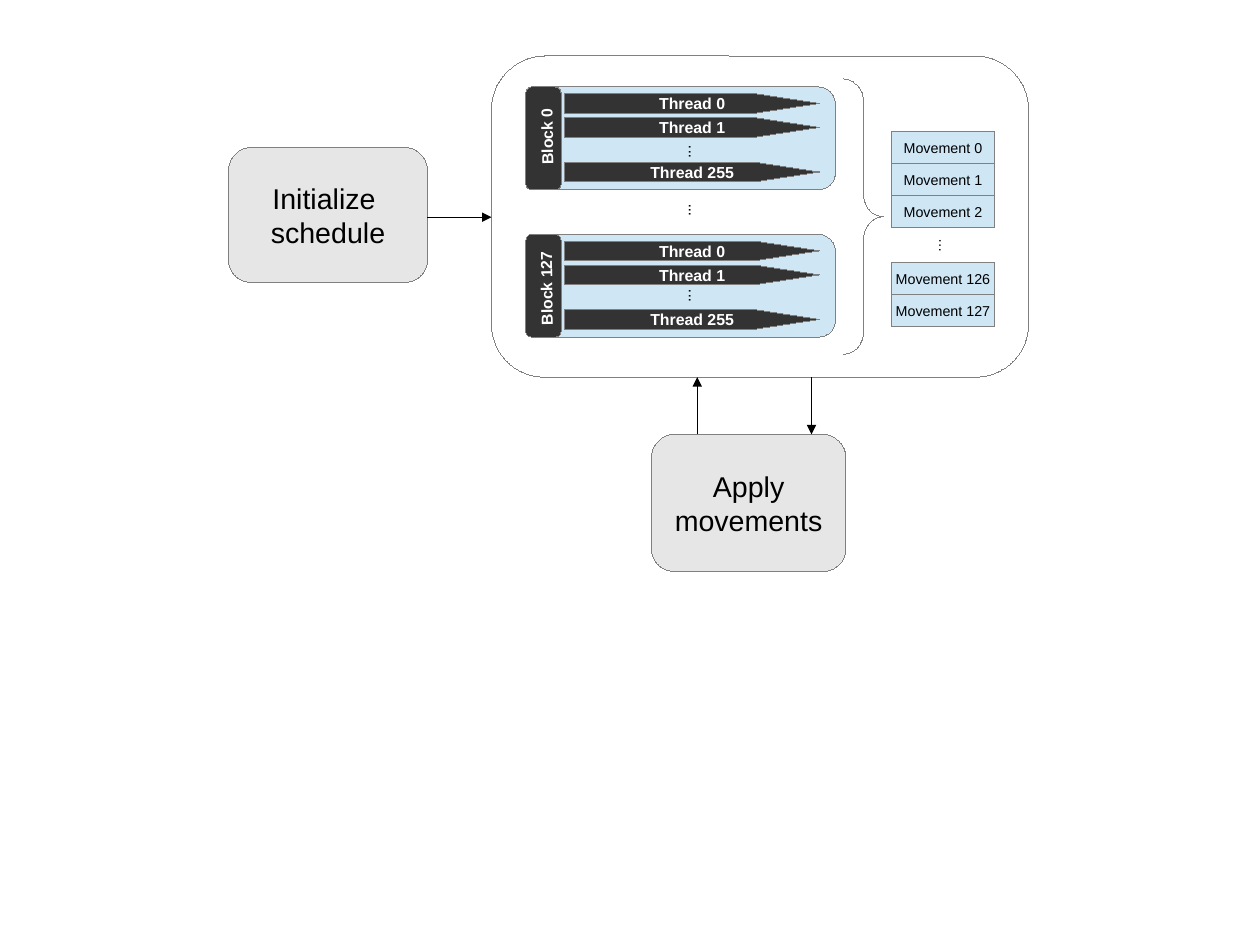
from dataclasses import dataclass

from lxml.etree import SubElement
from pptx import Presentation
from pptx.dml.color import RGBColor
from pptx.enum.shapes import MSO_CONNECTOR, MSO_SHAPE
from pptx.enum.text import MSO_ANCHOR, MSO_AUTO_SIZE, PP_ALIGN
from pptx.oxml.ns import qn
from pptx.shapes.autoshape import Shape
from pptx.shapes.connector import Connector
from pptx.slide import Slide
from pptx.util import Cm, Inches, Pt

COLORS = {
    "panel": "CFE7F5",
    "dark": "333333",
    "step": "E6E6E6",
    "outline": "808080",
    "ink": "000000",
    "light": "FFFFFF",
}
HAIRLINE = Pt(0.01)
BLOCK_LEFT, BLOCK_W, BLOCK_H, STRIP_W = 4.6, 2.71, 0.9, 0.31
THREAD_LEFT, THREAD_W, THREAD_H, TIP_W = 4.94, 2.23, 0.17, 0.56
THREADS = {"Thread 0": 0.06, "Thread 1": 0.27, "Thread 255": 0.66}
CELL_LEFT, CELL_W, CELL_H = 7.8, 0.9, 0.28


@dataclass(frozen=True)
class Box:
    left: float
    top: float
    width: float
    height: float


@dataclass(frozen=True)
class Block:
    name: str
    top: float
    label: Box
    dots_top: float


@dataclass(frozen=True)
class Step:
    box: Box
    lines: tuple[str, ...]
    fill: str | None


@dataclass(frozen=True)
class Arrow:
    x1: float
    y1: float
    x2: float
    y2: float


@dataclass(frozen=True)
class MovementGroup:
    top: float
    numbers: tuple[int, ...]


BLOCKS = (
    Block("Block 0", 0.76, Box(4.43, 1.07, 0.69, 0.25), 1.2),
    Block("Block 127", 2.05, Box(4.34, 2.39, 0.86, 0.25), 2.46),
)
STEPS = (
    Step(Box(4.3, 0.49, 4.7, 2.81), (), None),
    Step(Box(2, 1.29, 1.74, 1.18), ("Initialize ", "schedule"), "step"),
    Step(Box(5.7, 3.8, 1.7, 1.2), ("Apply", "movements"), "step"),
)
ARROWS = (
    Arrow(3.74, 1.9, 4.3, 1.9),
    Arrow(7.1, 3.3, 7.1, 3.8),
    Arrow(6.1, 3.8, 6.1, 3.3),
)
MOVEMENTS = (MovementGroup(1.15, (0, 1, 2)), MovementGroup(2.3, (126, 127)))


def rgb(name: str) -> RGBColor:
    """Look up a palette colour."""
    return RGBColor.from_string(COLORS[name])


def style(sp: Shape, fill: str | None) -> None:
    """Give a shape its fill and grey hairline."""
    sp.shadow.inherit = False
    if fill:
        sp.fill.solid()
        sp.fill.fore_color.rgb = rgb(fill)
    else:
        sp.fill.background()
    sp.line.color.rgb = rgb("outline")
    sp.line.width = HAIRLINE


def write(sp: Shape, lines: tuple[str, ...], size: float, color: str = "ink",
          bold: bool = False, align: PP_ALIGN = PP_ALIGN.CENTER) -> None:
    """Write unwrapped paragraphs into a shape."""
    tf = sp.text_frame
    tf.word_wrap = False
    tf.text = "\n".join(lines)
    for p in tf.paragraphs:
        p.alignment = align
        p.font.name = "Arial"
        p.font.size = Pt(size)
        p.font.bold = bold
        p.font.color.rgb = rgb(color)


def add_shape(s: Slide, kind: MSO_SHAPE, box: Box, fill: str | None = None,
              adjust: float | None = None) -> Shape:
    """Add a styled preset shape."""
    sp = s.shapes.add_shape(kind, Inches(box.left), Inches(box.top),
                            Inches(box.width), Inches(box.height))
    style(sp, fill)
    if adjust is not None:
        sp.adjustments[0] = adjust
    sp.text_frame.vertical_anchor = MSO_ANCHOR.MIDDLE
    return sp


def add_label(s: Slide, box: Box, text: str, size: float, rotation: float,
              color: str = "ink", bold: bool = False,
              align: PP_ALIGN = PP_ALIGN.LEFT) -> None:
    """Add a rotated line of text."""
    sp = s.shapes.add_textbox(Inches(box.left), Inches(box.top),
                              Inches(box.width), Inches(box.height))
    sp.rotation = rotation
    write(sp, (text,), size, color, bold, align)
    sp.text_frame.auto_size = MSO_AUTO_SIZE.SHAPE_TO_FIT_TEXT


def add_thread_dots(s: Slide, top: float) -> None:
    """Add a vertical ellipsis in the thread column."""
    add_label(s, Box(5.78, top, 0.41, 0.26), "...", 10, 270, align=PP_ALIGN.CENTER)


def add_thread(s: Slide, name: str, top: float) -> None:
    """Add a long pointed thread bar."""
    right, bottom = THREAD_LEFT + THREAD_W, top + THREAD_H
    shoulder = right - TIP_W
    points = ((shoulder, top), (right, top + THREAD_H / 2),
              (shoulder, bottom), (THREAD_LEFT, bottom))
    fb = s.shapes.build_freeform(Inches(THREAD_LEFT), Inches(top))
    fb.add_line_segments([(Inches(x), Inches(y)) for x, y in points], close=True)
    sp = fb.convert_to_shape()
    style(sp, "dark")
    sp.text_frame.vertical_anchor = MSO_ANCHOR.MIDDLE
    write(sp, (name,), 10, "light", True)


def add_block(s: Slide, block: Block) -> None:
    """Add a block with its name strip and threads."""
    for width, fill in ((BLOCK_W, "panel"), (STRIP_W, "dark")):
        add_shape(s, MSO_SHAPE.ROUNDED_RECTANGLE,
                  Box(BLOCK_LEFT, block.top, width, BLOCK_H), fill, 0.167)
    for name, offset in THREADS.items():
        add_thread(s, name, block.top + offset)
    add_thread_dots(s, block.dots_top)
    add_label(s, block.label, block.name, 10, 269.2, "light", True)


def add_movements(s: Slide, group: MovementGroup) -> None:
    """Add a stack of movement cells."""
    for i, number in enumerate(group.numbers):
        sp = add_shape(s, MSO_SHAPE.RECTANGLE,
                       Box(CELL_LEFT, group.top + i * CELL_H, CELL_W, CELL_H), "panel")
        write(sp, (f"Movement {number}",), 9)


def add_arrow(s: Slide, arrow: Arrow) -> Connector:
    """Add a hairline connector with a triangular head."""
    cx = s.shapes.add_connector(MSO_CONNECTOR.STRAIGHT, Inches(arrow.x1), Inches(arrow.y1),
                                Inches(arrow.x2), Inches(arrow.y2))
    cx.line.color.rgb = rgb("ink")
    cx.line.width = HAIRLINE
    spPr = cx._element.spPr
    SubElement(spPr.find(qn("a:ln")), qn("a:tailEnd"), type="triangle")
    SubElement(spPr, qn("a:effectLst"))
    return cx


def main() -> None:
    """Build the scheduling diagram."""
    prs = Presentation()
    prs.slide_width, prs.slide_height = Cm(28), Cm(21)
    s = prs.slides.add_slide(prs.slide_layouts[6])
    for step in STEPS:
        sp = add_shape(s, MSO_SHAPE.FLOWCHART_ALTERNATE_PROCESS, step.box, step.fill)
        if step.lines:
            write(sp, step.lines, 18)
    for block in BLOCKS:
        add_block(s, block)
    add_thread_dots(s, 1.71)
    add_shape(s, MSO_SHAPE.RIGHT_BRACE, Box(7.38, 0.69, 0.35, 2.41), adjust=0.57)
    for group in MOVEMENTS:
        add_movements(s, group)
    add_label(s, Box(8.06, 2.06, 0.4, 0.26), "…", 9, 91)
    for arrow in ARROWS:
        add_arrow(s, arrow)
    prs.save("out.pptx")


if __name__ == "__main__":
    main()
